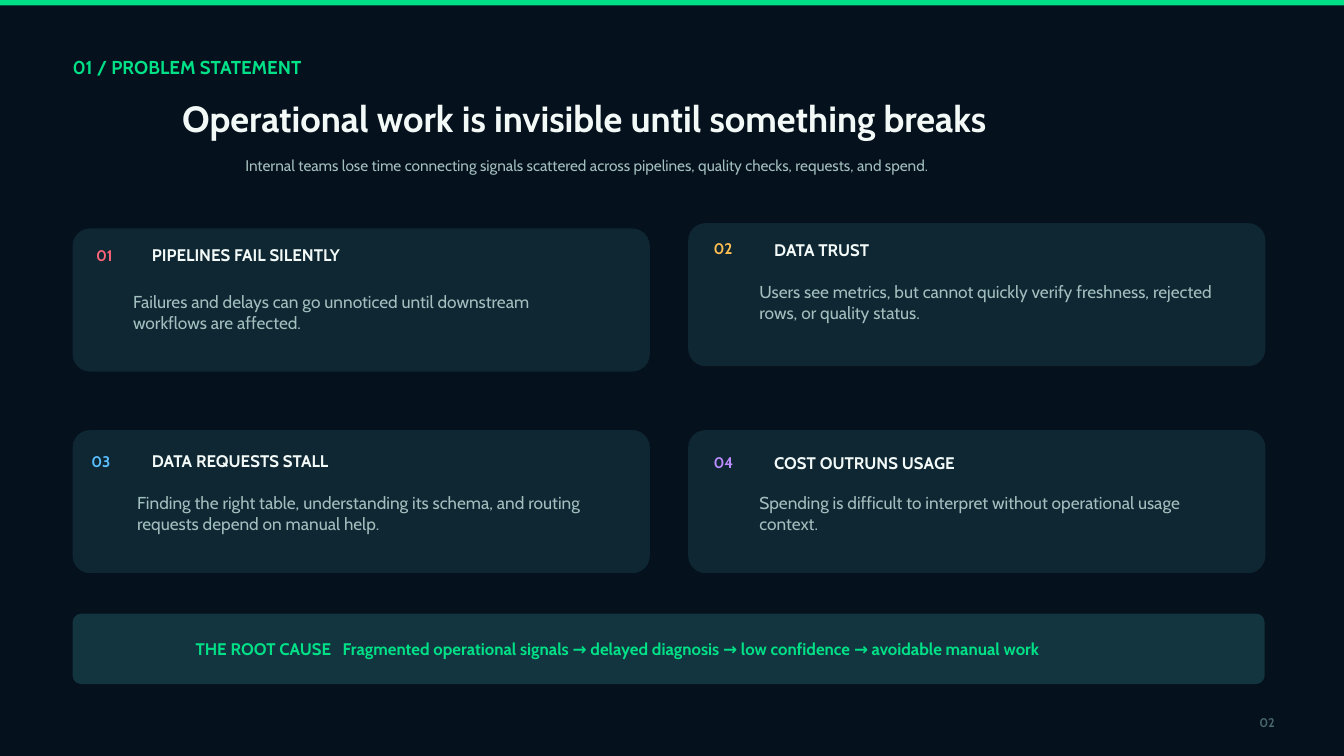
from lxml import etree
from pptx import Presentation
from pptx.dml.color import RGBColor
from pptx.enum.shapes import MSO_SHAPE
from pptx.enum.text import MSO_ANCHOR, MSO_AUTO_SIZE, PP_ALIGN
from pptx.oxml.ns import qn
from pptx.util import Inches, Pt

RECTANGLE, ROUNDED = MSO_SHAPE.RECTANGLE, MSO_SHAPE.ROUNDED_RECTANGLE
LEFT, RIGHT = PP_ALIGN.LEFT, PP_ALIGN.RIGHT
TOP, NO_AUTOFIT = MSO_ANCHOR.TOP, MSO_AUTO_SIZE.NONE

FONT = "Cabin"
BACKGROUND = RGBColor(0x05, 0x11, 0x1C)
GREEN = RGBColor(0x00, 0xE0, 0x87)
WHITE = RGBColor(0xF2, 0xF9, 0xF7)
MUTED = RGBColor(0xA3, 0xBE, 0xBE)
DIM = RGBColor(0x48, 0x66, 0x6C)
CARD = RGBColor(0x0E, 0x27, 0x33)
BANNER = RGBColor(0x13, 0x35, 0x3F)
RED = RGBColor(0xFF, 0x63, 0x78)
AMBER = RGBColor(0xFF, 0xBE, 0x52)
BLUE = RGBColor(0x5B, 0xBE, 0xFF)
PURPLE = RGBColor(0xBA, 0x8C, 0xFF)

# Content
SECTION = "01 / PROBLEM STATEMENT"
TITLE = "Operational work is invisible until something breaks"
SUBTITLE = ("Internal teams lose time connecting signals scattered across "
            "pipelines, quality checks, requests, and spend.")
ROOT_CAUSE = ("THE ROOT CAUSE\tFragmented operational signals → delayed diagnosis "
              "→ low confidence → avoidable manual work")
PAGE_NUMBER = "02"

# Card corner, number, colour, heading, body, then the text positions
CARDS = [
    ((1.08, 3.4), "01", RED, "PIPELINES FAIL SILENTLY",
     "Failures and delays can go unnoticed until downstream workflows are affected.",
     (1.43, 3.66), (2.26, 3.64), (1.98, 4.34)),
    ((10.24, 3.32), "02", AMBER, "DATA TRUST",
     "Users see metrics, but cannot quickly verify freshness, rejected rows, "
     "or quality status.",
     (10.62, 3.56), (11.52, 3.56), (11.3, 4.19)),
    ((1.08, 6.4), "03", BLUE, "DATA REQUESTS STALL",
     "Finding the right table, understanding its schema, and routing requests "
     "depend on manual help.",
     (1.36, 6.72), (2.26, 6.71), (2.04, 7.33)),
    ((10.24, 6.4), "04", PURPLE, "COST OUTRUNS USAGE",
     "Spending is difficult to interpret without operational usage context.",
     (10.62, 6.74), (11.52, 6.74), (11.3, 7.33)),
]
CARD_SIZE = (8.59, 2.13)
CARD_RADIUS, BANNER_RADIUS = 0.26, 0.13


def add_panel(slide, left, top, width, height, color, radius=0):
    shape = slide.shapes.add_shape(
        ROUNDED if radius else RECTANGLE,
        Inches(left), Inches(top), Inches(width), Inches(height))
    if radius:
        shape.adjustments[0] = radius / min(width, height)
    shape.shadow.inherit = False
    shape.fill.solid()
    shape.fill.fore_color.rgb = color
    shape.line.fill.background()


def format_text(shape, text, size, color, bold=False, align=LEFT, tab=None):
    frame = shape.text_frame
    frame.margin_left = frame.margin_right = 0
    frame.margin_top = frame.margin_bottom = 0
    frame.word_wrap = True
    frame.auto_size = NO_AUTOFIT
    frame.vertical_anchor = TOP
    frame.text = text
    paragraph = frame.paragraphs[0]
    if tab:
        properties = paragraph._p.get_or_add_pPr()
        tabs = etree.SubElement(properties, qn("a:tabLst"))
        etree.SubElement(tabs, qn("a:tab"), pos=str(Inches(tab)), algn="l")
    paragraph.alignment = align
    paragraph.line_spacing = Pt(size * 1.2)
    font = paragraph.font
    font.name, font.size, font.bold = FONT, Pt(size), bold
    font.color.rgb = color


def add_text(slide, left, top, width, height, text, size, color, **style):
    box = slide.shapes.add_textbox(
        Inches(left), Inches(top), Inches(width), Inches(height))
    format_text(box, text, size, color, **style)


presentation = Presentation()
presentation.slide_width, presentation.slide_height = Inches(20), Inches(11.25)
slide = presentation.slides.add_slide(presentation.slide_layouts[5])
slide.background.fill.solid()
slide.background.fill.fore_color.rgb = BACKGROUND

# Header
add_panel(slide, 0, 0, 20, 0.08, GREEN)
add_text(slide, 1.08, 0.83, 14.97, 0.34, SECTION, 20, GREEN, bold=True)
title = slide.shapes.title
title.left, title.top = Inches(2.71), Inches(1.43)
title.width, title.height = Inches(17), Inches(0.74)
format_text(title, TITLE, 39, WHITE, bold=True)
add_text(slide, 3.65, 2.33, 16, 0.5, SUBTITLE, 16.5, MUTED)

# Problem cards
for corner, number, accent, heading, body, number_at, heading_at, body_at in CARDS:
    add_panel(slide, *corner, *CARD_SIZE, CARD, CARD_RADIUS)
    add_text(slide, *number_at, 0.68, 0.32, number, 16.5, accent, bold=True)
    add_text(slide, *heading_at, 6.87, 0.35, heading, 18, WHITE, bold=True)
    add_text(slide, *body_at, 6.79, 0.6, body, 18.5, MUTED)

# Root cause banner and page number
add_panel(slide, 1.08, 9.13, 17.74, 1.05, BANNER, BANNER_RADIUS)
add_text(slide, 2.91, 9.5, 15.9, 0.34, ROOT_CAUSE, 18, GREEN, bold=True, tab=2.19)
add_text(slide, 18.33, 10.64, 0.64, 0.24, PAGE_NUMBER, 13.5, DIM, bold=True, align=RIGHT)

presentation.save("out.pptx")
